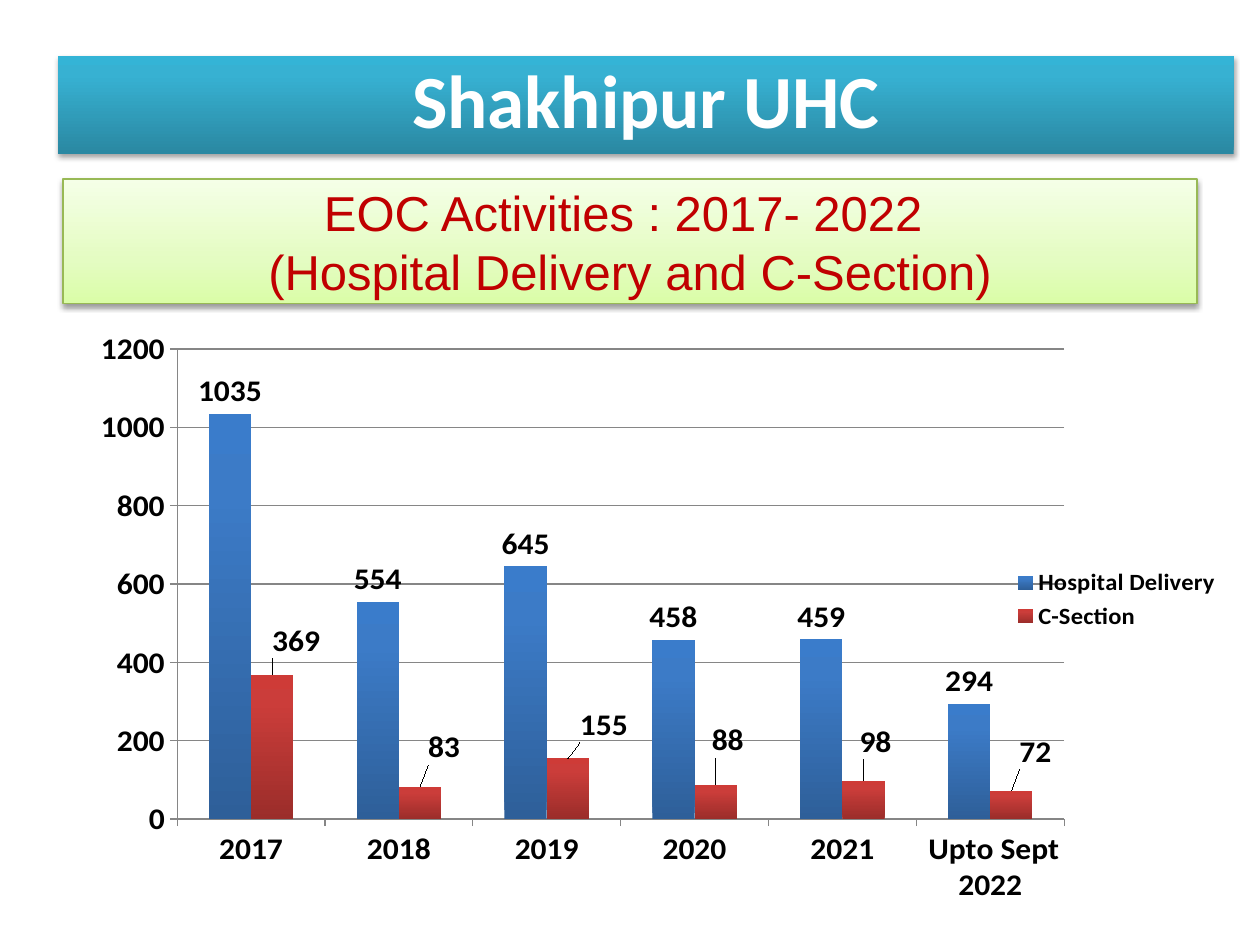
import pptx
import pptx.chart.data
import pptx.dml.color
import pptx.enum.chart
import pptx.enum.shapes
import pptx.enum.text
import pptx.oxml
import pptx.oxml.ns
import pptx.util

Cm = pptx.util.Cm
Pt = pptx.util.Pt
NS = pptx.oxml.ns.nsdecls("a", "c")

HUES = {
    "white": "FFFFFF", "black": "000000", "grid": "868686",
    "edge": "98B955", "text": "C00000",
}
FADES = {
    "lime": [(0, "DAFDA7"), (35, "E4FCC2"), (100, "F5FFE7")],
    "teal": [(0, "2A88A2"), (80, "37B1D2"), (100, "34B4D6")],
    "blue": [(0, "2E5F99"), (80, "3C7BC7"), (100, "3A7CCB")],
    "red": [(0, "9B2D2A"), (80, "CB3D3A"), (100, "CE3B37")],
}
YEARS = ["2017", "2018", "2019", "2020", "2021", " Upto Sept 2022"]
BARS = [
    ("Hospital Delivery", [1035, 554, 645, 458, 459, 294], "blue"),
    ("C-Section", [369, 83, 155, 88, 98, 72], "red"),
]
SHIFTS = [(0.02, -0.02), (0.02, -0.03), (0.03, -0.02),
          (0.01, -0.04), (0.01, -0.03), (0.02, -0.03)]


def hue(name):
    return pptx.dml.color.RGBColor.from_string(HUES[name])


def fade(fill, host, name):
    fill.background()
    stops = "".join(
        f'<a:gs pos="{pos * 1000}"><a:srgbClr val="{rgb}"/></a:gs>'
        for pos, rgb in FADES[name])
    grad = pptx.oxml.parse_xml(
        f'<a:gradFill {NS} rotWithShape="1"><a:gsLst>{stops}</a:gsLst>'
        '<a:lin ang="16200000" scaled="0"/></a:gradFill>')
    old = host.find(pptx.oxml.ns.qn("a:noFill"))
    host.replace(old, grad)


def shade(shape, drop, alpha):
    shape.shadow.inherit = False
    glow = pptx.oxml.parse_xml(
        f'<a:outerShdw {NS} blurRad="{Pt(3.1)}" dist="{Pt(drop)}" '
        'dir="5400000" rotWithShape="0">'
        f'<a:srgbClr val="{HUES["black"]}"><a:alpha val="{alpha * 1000}"/>'
        '</a:srgbClr></a:outerShdw>')
    shape._element.spPr.find(pptx.oxml.ns.qn("a:effectLst")).append(glow)


def panel(slide, box, name, edge, shadow, lines, font, size, ink, bold, space):
    shape = slide.shapes.add_shape(
        pptx.enum.shapes.MSO_SHAPE.RECTANGLE, *map(Cm, box))
    fade(shape.fill, shape._element.spPr, name)
    if edge:
        shape.line.color.rgb = hue(edge)
        shape.line.width = Pt(0.75)
    else:
        shape.line.fill.background()
    shade(shape, *shadow)
    frame = shape.text_frame
    frame.word_wrap = True
    frame.vertical_anchor = pptx.enum.text.MSO_ANCHOR.MIDDLE
    frame.text = "\n".join(lines)
    for para in frame.paragraphs:
        para.alignment = pptx.enum.text.PP_ALIGN.CENTER
        para.line_spacing = space
        para.font.name = font
        para.font.size = Pt(size)
        para.font.bold = bold
        para.font.color.rgb = hue(ink)


def place(chart, x, y, w, h):
    area = chart._chartSpace.chart.plotArea
    for old in area.findall(pptx.oxml.ns.qn("c:layout")):
        area.remove(old)
    area.insert(0, pptx.oxml.parse_xml(
        f'<c:layout {NS}><c:manualLayout><c:layoutTarget val="inner"/>'
        '<c:xMode val="edge"/><c:yMode val="edge"/>'
        f'<c:x val="{x}"/><c:y val="{y}"/><c:w val="{w}"/><c:h val="{h}"/>'
        '</c:manualLayout></c:layout>'))


def nudge(series, shifts):
    spot = pptx.enum.chart.XL_LABEL_POSITION.OUTSIDE_END
    for i in range(len(shifts)):
        series.points[i].data_label.position = spot
    tags = series._element.findall(".//" + pptx.oxml.ns.qn("c:dLbl"))
    for tag, (x, y) in zip(tags, shifts):
        tag.insert(1, pptx.oxml.parse_xml(
            f'<c:layout {NS}><c:manualLayout><c:x val="{x}"/>'
            f'<c:y val="{y}"/></c:manualLayout></c:layout>'))


def style(font, size):
    font.name = "Calibri"
    font.size = Pt(size)
    font.bold = True
    font.color.rgb = hue("black")


def rule(line):
    line.color.rgb = hue("grid")
    line.width = Pt(0.75)


def graph(slide, box):
    data = pptx.chart.data.CategoryChartData()
    data.categories = YEARS
    for name, vals, _ in BARS:
        data.add_series(name, vals)
    kind = pptx.enum.chart.XL_CHART_TYPE.COLUMN_CLUSTERED
    chart = slide.shapes.add_chart(kind, *map(Cm, box), data).chart
    style(chart.font, 18)
    chart.has_title = False
    chart.has_legend = True
    chart.legend.position = pptx.enum.chart.XL_LEGEND_POSITION.RIGHT
    chart.legend.include_in_layout = False
    style(chart.legend.font, 14)
    for axis in (chart.category_axis, chart.value_axis):
        axis.major_tick_mark = pptx.enum.chart.XL_TICK_MARK.OUTSIDE
        rule(axis.format.line)
    scale = chart.value_axis
    scale.minimum_scale, scale.maximum_scale = 0, 1200
    scale.major_unit = 200
    scale.has_major_gridlines = True
    rule(scale.major_gridlines.format.line)
    plot = chart.plots[0]
    plot.gap_width = 150
    plot.overlap = 0
    plot.vary_by_categories = False
    for series, (_, _, name) in zip(plot.series, BARS):
        series.invert_if_negative = False
        fill = series.format.fill
        fill.background()
        fade(fill, series._element.spPr, name)
        tags = series.data_labels
        tags.show_value = True
        tags.position = pptx.enum.chart.XL_LABEL_POSITION.OUTSIDE_END
        style(tags.font, 18)
    nudge(plot.series[1], SHIFTS)
    place(chart, 0.121, 0.044, 0.738, 0.856)


def main():
    deck = pptx.Presentation()
    deck.slide_width, deck.slide_height = Cm(25.4), Cm(19.05)
    slide = deck.slides.add_slide(deck.slide_layouts[6])
    panel(slide, (1.27, 3.61, 22.86, 2.51), "lime", "edge", (1.6, 38),
          ["EOC Activities : 2017- 2022 ", "(Hospital Delivery and C-Section)"],
          "Arial", 28, "text", False, 1.0)
    graph(slide, (0.64, 6.55, 24.23, 11.66))
    panel(slide, (1.17, 1.12, 23.7, 1.98), "teal", None, (1.8, 35),
          ["Shakhipur UHC"], "Calibri", 42.9, "white", True, 0.9)
    deck.save("out.pptx")


if __name__ == "__main__":
    main()
